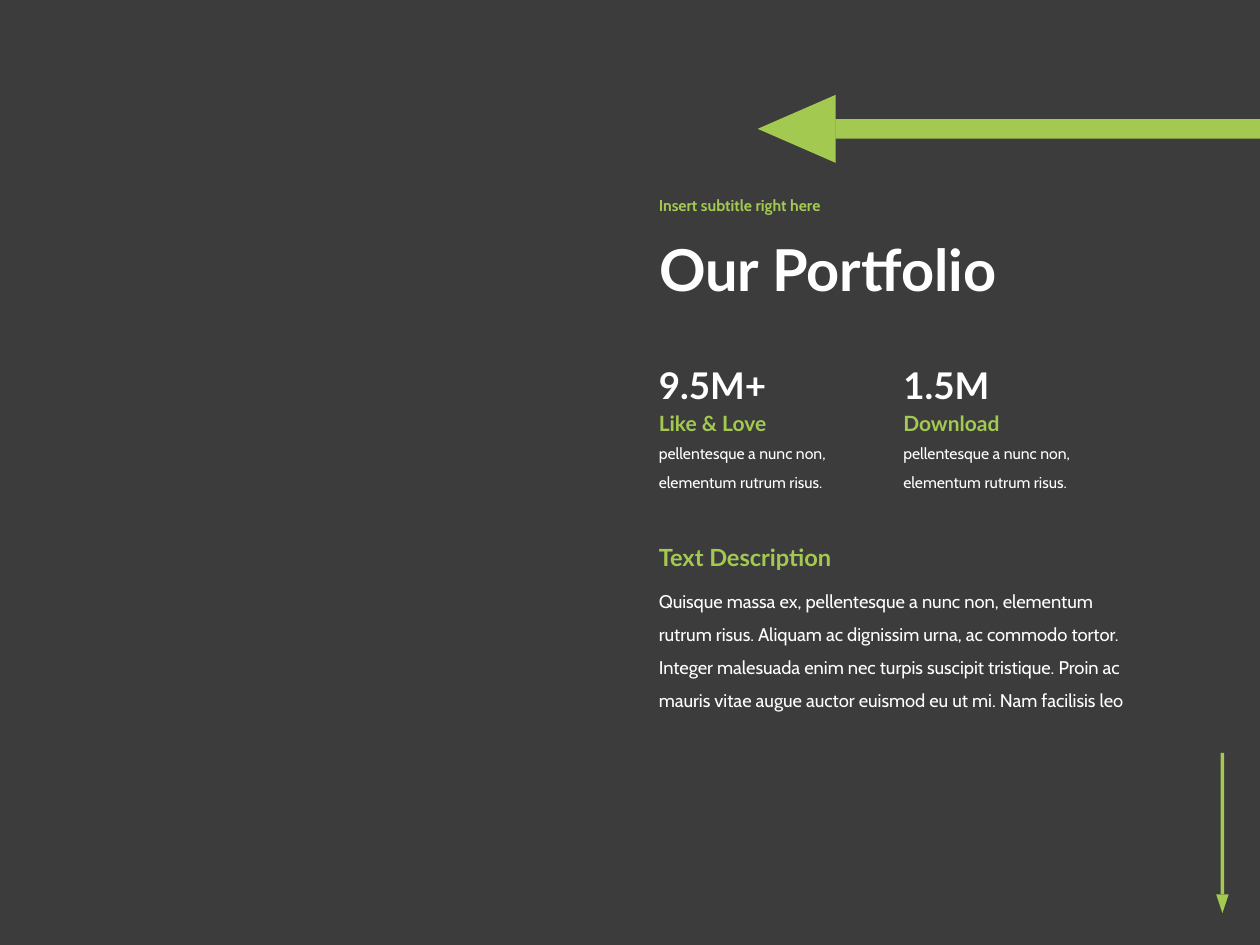
from pptx import Presentation
from pptx.dml.color import RGBColor
from pptx.enum.shapes import MSO_SHAPE
from pptx.enum.text import MSO_ANCHOR, MSO_AUTO_SIZE, PP_ALIGN
from pptx.util import Pt

COLORS = {"background": "3C3C3C", "accent": "A3C951", "text": "FFFFFF"}
LEFT = 369.4
COLUMN_STEP = 139.7

presentation = Presentation()
presentation.slide_width = Pt(720)
presentation.slide_height = Pt(540)
slide = presentation.slides.add_slide(presentation.slide_layouts[5])
slide.background.fill.solid()
slide.background.fill.fore_color.rgb = RGBColor.from_string(COLORS["background"])


def write_text(text, left, top, width, height, shape=None, size=9, font="Lato",
               color="text", bold=True, line_spacing=1.0, anchor=MSO_ANCHOR.TOP):
    box = [Pt(value) for value in (left, top, width, height)]
    if shape is None:
        shape = slide.shapes.add_textbox(*box)
    else:
        shape.left, shape.top, shape.width, shape.height = box
    frame = shape.text_frame
    frame.word_wrap = True
    frame.auto_size = MSO_AUTO_SIZE.NONE
    frame.vertical_anchor = anchor
    paragraph = frame.paragraphs[0]
    paragraph.alignment = PP_ALIGN.LEFT
    paragraph.line_spacing = line_spacing
    paragraph.space_before = Pt(0)
    run = paragraph.add_run()
    run.text = text
    run.font.name = font
    run.font.size = Pt(size)
    run.font.bold = bold
    run.font.color.rgb = RGBColor.from_string(COLORS[color])


# Title and subtitle
write_text("Our Portfolio", LEFT, 118.8, 405.4, 74.2, shape=slide.shapes.title,
           size=33, line_spacing=0.9, anchor=MSO_ANCHOR.MIDDLE)
write_text("Insert subtitle right here", LEFT, 104.4, 405.4, 27.4, font="Cabin",
           color="accent", line_spacing=0.9, anchor=MSO_ANCHOR.MIDDLE)

# Description
write_text("Quisque massa ex, pellentesque a nunc non, elementum rutrum risus. "
           "Aliquam ac dignissim urna, ac commodo tortor. Integer malesuada enim "
           "nec turpis suscipit tristique. Proin ac mauris vitae augue auctor "
           "euismod eu ut mi. Nam facilisis leo",
           LEFT, 327.6, 288, 81.4, size=10.5, font="Cabin", bold=False, line_spacing=1.5)
write_text("Text Description", LEFT, 306.7, 157.7, 23.8, size=13.5, color="accent")

# Key figures
for column, (figure, label) in enumerate([("9.5M+", "Like & Love"), ("1.5M", "Download")]):
    left = LEFT + column * COLUMN_STEP
    write_text("pellentesque a nunc non, elementum rutrum risus.", left, 244.8, 136, 38.2,
               font="Cabin", bold=False, line_spacing=1.5)
    write_text(label, left, 231.1, 108, 21.6, size=12, color="accent")
    write_text(figure, left, 203.8, 108, 32.4, size=21)

# Arrows: a bar and a triangular head each
arrow_parts = [
    (MSO_SHAPE.RECTANGLE, 697.5, 430.2, 2, 80.7, 0),
    (MSO_SHAPE.ISOSCELES_TRIANGLE, 694.9, 511, 7.2, 10.8, 180),
    (MSO_SHAPE.RECTANGLE, 477.4, 68, 281.5, 11.2, 0),
    (MSO_SHAPE.ISOSCELES_TRIANGLE, 435.8, 51.3, 38.9, 44.6, 270),
]
for kind, left, top, width, height, rotation in arrow_parts:
    part = slide.shapes.add_shape(kind, Pt(left), Pt(top), Pt(width), Pt(height))
    part.rotation = rotation
    part.shadow.inherit = False
    part.fill.solid()
    part.fill.fore_color.rgb = RGBColor.from_string(COLORS["accent"])
    part.line.fill.background()

presentation.save("out.pptx")
